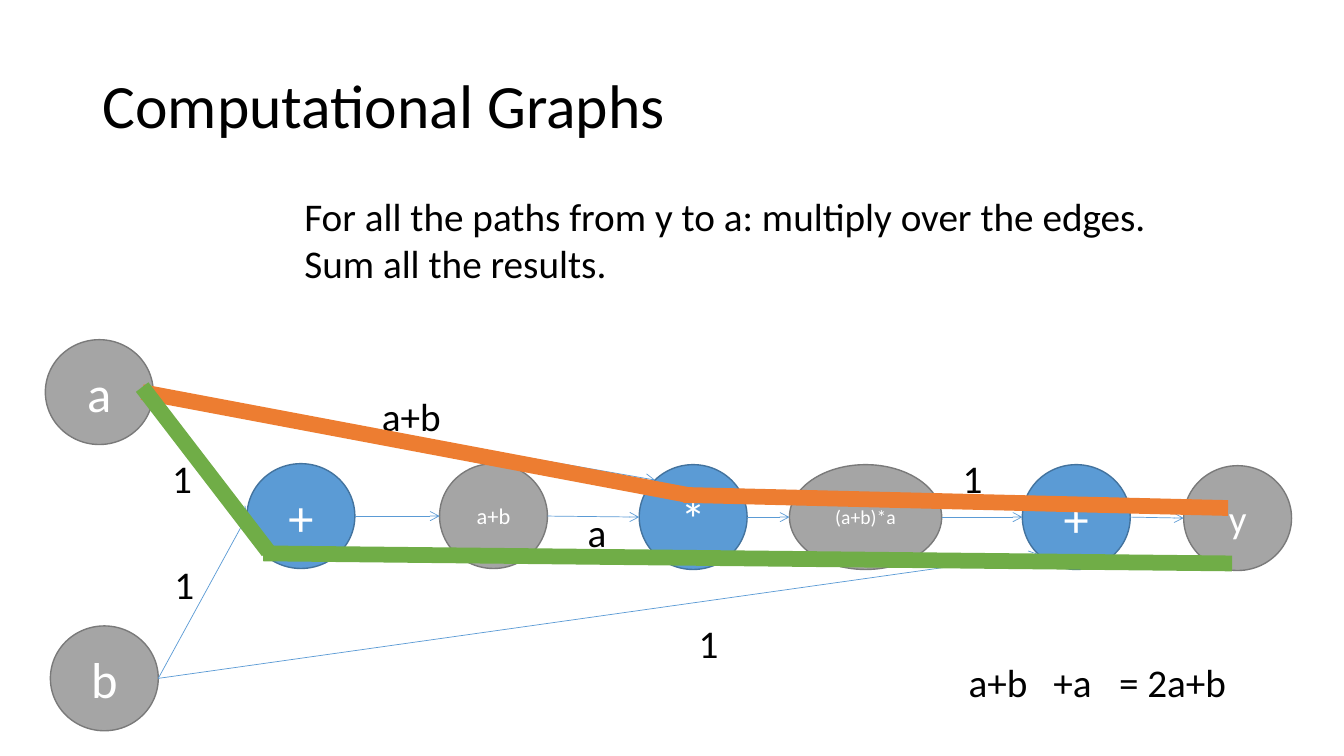
import math
from dataclasses import dataclass

import lxml.etree
import pptx
import pptx.dml.color
import pptx.enum.shapes
import pptx.enum.text
import pptx.oxml.ns
import pptx.util

RGBColor = pptx.dml.color.RGBColor
Align = pptx.enum.text.PP_ALIGN
Anchor = pptx.enum.text.MSO_ANCHOR

EMU_PER_PX = 9144
FONT = "Calibri"
BLACK = RGBColor(0x00, 0x00, 0x00)
WHITE = RGBColor(0xFF, 0xFF, 0xFF)
BLUE = RGBColor(0x5B, 0x9B, 0xD5)
BLUE_EDGE = RGBColor(0x43, 0x73, 0x9E)
GRAY = RGBColor(0xA5, 0xA5, 0xA5)
GRAY_EDGE = RGBColor(0x7A, 0x7A, 0x7A)
ORANGE = RGBColor(0xED, 0x7D, 0x31)
GREEN = RGBColor(0x70, 0xAD, 0x47)

Point = tuple[float, float]


@dataclass(frozen=True)
class Node:
    text: str
    left: int
    top: int
    size: int = 36
    operator: bool = False
    width: int = 107
    height: int = 104

    def rim(self, degrees: int) -> Point:
        angle = math.radians(degrees)
        return (self.left + self.width / 2 * (1 + math.cos(angle)),
                self.top + self.height / 2 * (1 + math.sin(angle)))


@dataclass(frozen=True)
class Edge:
    start: Node
    end: Node
    end_angle: int = 180


@dataclass(frozen=True)
class Label:
    text: str
    left: int
    top: int
    width: int
    height: int = 57
    size: int = 28


@dataclass(frozen=True)
class PathStroke:
    start: Point
    end: Point
    color: RGBColor


A = Node("a", 45, 337)
B = Node("b", 50, 621)
ADD_AB = Node("+", 245, 460, operator=True)
SUM_AB = Node("a+b", 436, 460, 16)
TIMES = Node("*", 634, 461, operator=True)
PRODUCT = Node("(a+b)*a", 783, 461, 14, width=151)
ADD_B = Node("+", 1014, 461, operator=True)
Y = Node("y", 1174, 462, 28)
NODES = [A, B, ADD_AB, SUM_AB, TIMES, PRODUCT, ADD_B, Y]

EDGES = [
    Edge(A, ADD_AB),
    Edge(B, ADD_AB),
    Edge(ADD_AB, SUM_AB),
    Edge(SUM_AB, TIMES),
    Edge(A, TIMES, 225),
    Edge(TIMES, PRODUCT),
    Edge(PRODUCT, ADD_B),
    Edge(B, ADD_B, 135),
    Edge(ADD_B, Y),
]

TITLE = Label("Computational Graphs", 92, 35, 1150, 145, 44)
LABELS = [
    Label("For all the paths from y to a: multiply over the edges. Sum all the results.",
          292, 186, 903, 104),
    Label("1", 161, 446, 65),
    Label("1", 163, 551, 65),
    Label("a+b", 369, 384, 113),
    Label("a", 573, 499, 61),
    Label("1", 945, 446, 58),
    Label("1", 683, 609, 58),
    Label("a+b", 951, 648, 113),
    Label("+a", 1035, 648, 108),
    Label("= 2a+b", 1100, 648, 192),
]

STROKES = [
    PathStroke((141, 389), (682, 491), ORANGE),
    PathStroke((678, 491), (1218, 504), ORANGE),
    PathStroke((261, 549), (1222, 559), GREEN),
    PathStroke((141, 384), (266, 547), GREEN),
]


def px(length: float) -> int:
    return round(length * EMU_PER_PX)


def write(tf, text: str, size: int, color: RGBColor):
    tf.word_wrap = True
    p = tf.paragraphs[0]
    r = p.add_run()
    r.text = text
    r.font.name = FONT
    r.font.size = pptx.util.Pt(size)
    r.font.color.rgb = color
    return p


def draw_node(s, node: Node) -> None:
    sp = s.shapes.add_shape(pptx.enum.shapes.MSO_SHAPE.OVAL, px(node.left), px(node.top),
                            px(node.width), px(node.height))
    sp.shadow.inherit = False
    sp.fill.solid()
    sp.fill.fore_color.rgb = BLUE if node.operator else GRAY
    sp.line.color.rgb = BLUE_EDGE if node.operator else GRAY_EDGE
    sp.line.width = pptx.util.Pt(1)
    sp.text_frame.vertical_anchor = Anchor.MIDDLE
    write(sp.text_frame, node.text, node.size, WHITE).alignment = Align.CENTER


def draw_line(s, start: Point, end: Point, color: RGBColor, width: float):
    line = s.shapes.add_connector(pptx.enum.shapes.MSO_CONNECTOR.STRAIGHT,
                                  *map(px, start + end))
    line.line.color.rgb = color
    line.line.width = pptx.util.Pt(width)
    lxml.etree.SubElement(line._element.spPr, pptx.oxml.ns.qn("a:effectLst"))
    return line


def draw_edge(s, edge: Edge) -> None:
    line = draw_line(s, edge.start.rim(0), edge.end.rim(edge.end_angle), BLUE, 0.5)
    lxml.etree.SubElement(line.line._get_or_add_ln(), pptx.oxml.ns.qn("a:tailEnd"),
                          type="arrow")


def draw_label(s, label: Label):
    sp = s.shapes.add_textbox(px(label.left), px(label.top), px(label.width), px(label.height))
    write(sp.text_frame, label.text, label.size, BLACK)
    return sp.text_frame


def main() -> None:
    prs = pptx.Presentation()
    prs.slide_width, prs.slide_height = px(1333), px(750)
    s = prs.slides.add_slide(prs.slide_layouts[6])
    tf = draw_label(s, TITLE)
    tf.vertical_anchor = Anchor.MIDDLE
    tf.paragraphs[0].line_spacing = 0.9
    for node in NODES:
        draw_node(s, node)
    for edge in EDGES:
        draw_edge(s, edge)
    for label in LABELS:
        draw_label(s, label)
    for stroke in STROKES:
        draw_line(s, stroke.start, stroke.end, stroke.color, 11.25)
    prs.save("out.pptx")


if __name__ == "__main__":
    main()
